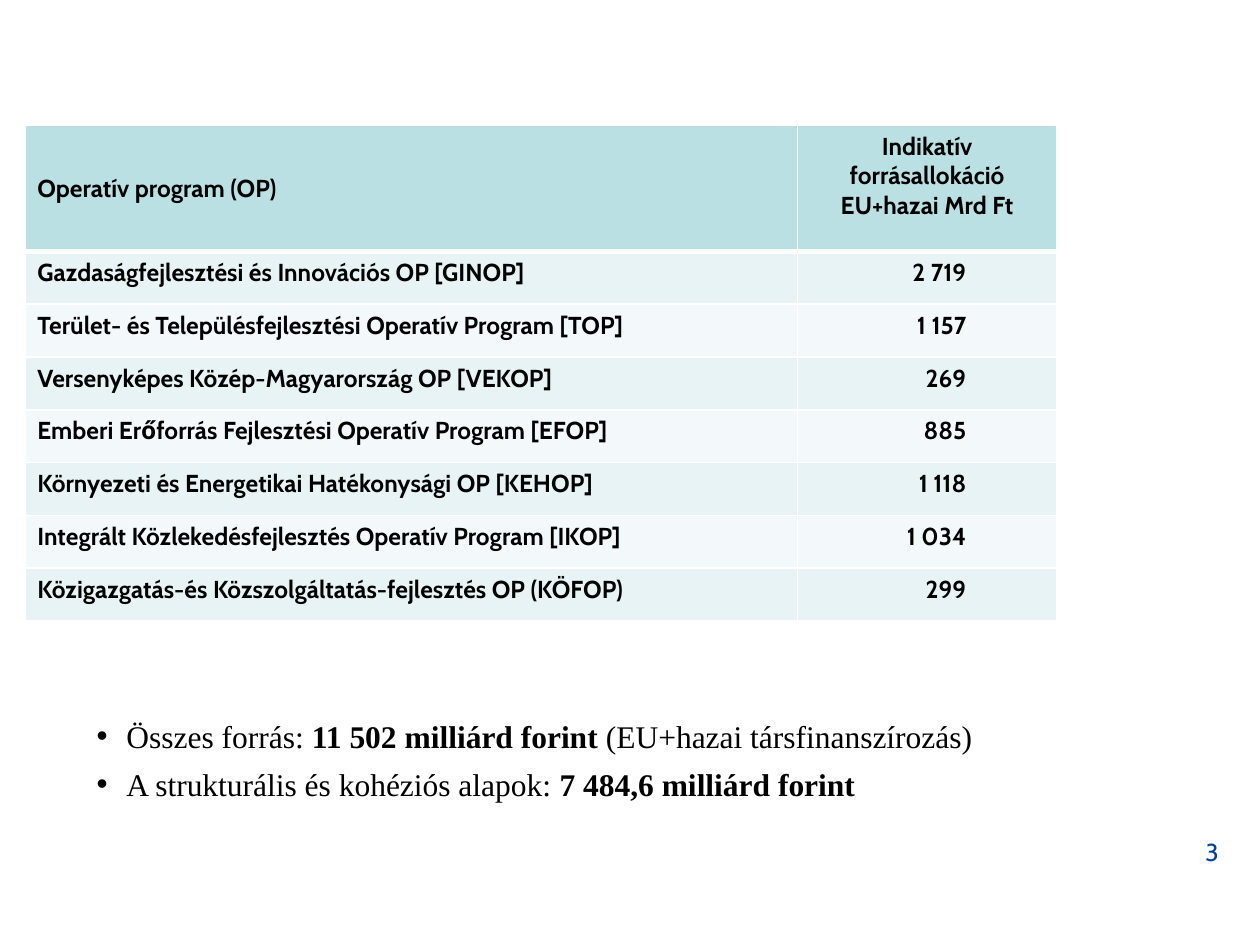
from dataclasses import dataclass

from lxml import etree
from pptx import Presentation
from pptx.dml.color import RGBColor
from pptx.enum import text as t
from pptx.oxml import ns
from pptx.util import Cm, Pt


@dataclass(frozen=True)
class Theme:
    ink: str = "000000"
    page_number: str = "004299"
    header: str = "BBE0E3"
    bands: tuple = ("E7F3F4", "F3F9FA")
    rule: str = "FFFFFF"
    table_font: str = "Cabin"
    body_font: str = "Times New Roman"
    table_size: int = 14
    body_size: int = 18


THEME = Theme()

HEADINGS = ("Operatív program (OP)", "Indikatív forrásallokáció EU+hazai Mrd Ft")
PROGRAMS = [
    ("Gazdaságfejlesztési és Innovációs OP [GINOP]", "2 719"),
    ("Terület- és Településfejlesztési Operatív Program [TOP]", "1 157"),
    ("Versenyképes Közép-Magyarország OP [VEKOP]", "269"),
    ("Emberi Erőforrás Fejlesztési Operatív Program [EFOP]", "885"),
    ("Környezeti és Energetikai Hatékonysági OP [KEHOP]", "1 118"),
    ("Integrált Közlekedésfejlesztés Operatív Program [IKOP]", "1 034"),
    ("Közigazgatás-és Közszolgáltatás-fejlesztés OP (KÖFOP)", "299"),
]
# Each total is a list of (wording, bold) runs
TOTALS = [
    [("Összes forrás:", False), (" 11 502 milliárd forint ", True),
     ("(EU+hazai társfinanszírozás)", False)],
    [("A strukturális és kohéziós alapok: ", False),
     ("7 484,6 milliárd forint", True)],
]


def set_font(paragraph, name, size, color, bold=None):
    font = paragraph.font
    font.name, font.size, font.bold = name, Pt(size), bold
    font.color.rgb = RGBColor.from_string(color)


def set_borders(cell, bottom_width):
    properties = cell._tc.get_or_add_tcPr()
    for side, width in (("L", 1), ("R", 1), ("T", 1), ("B", bottom_width)):
        line = etree.SubElement(properties, ns.qn(f"a:ln{side}"), w=str(Pt(width)))
        fill = etree.SubElement(line, ns.qn("a:solidFill"))
        etree.SubElement(fill, ns.qn("a:srgbClr"), val=THEME.rule)


def fill_cell(cell, wording, fill, align, bottom_width=1):
    set_borders(cell, bottom_width)
    cell.fill.solid()
    cell.fill.fore_color.rgb = RGBColor.from_string(fill)
    cell.text = wording
    paragraph = cell.text_frame.paragraphs[0]
    paragraph.alignment = align
    set_font(paragraph, THEME.table_font, THEME.table_size, THEME.ink, True)


def add_allocation_table(slide, left, top, width, height):
    header_height, amount_width = Cm(2.55), Cm(5.22)
    table = slide.shapes.add_table(
        len(PROGRAMS) + 1, len(HEADINGS), left, top, width, height).table
    table.columns[0].width = width - amount_width
    table.columns[1].width = amount_width
    table.rows[0].height = header_height
    program_height = (height - header_height) // len(PROGRAMS)

    for column, align in enumerate((t.PP_ALIGN.LEFT, t.PP_ALIGN.CENTER)):
        fill_cell(table.cell(0, column), HEADINGS[column], THEME.header, align, 3)
    table.cell(0, 0).vertical_anchor = t.MSO_ANCHOR.MIDDLE

    for row, (program, amount) in enumerate(PROGRAMS, start=1):
        table.rows[row].height = program_height
        band = THEME.bands[(row - 1) % 2]
        fill_cell(table.cell(row, 0), program, band, t.PP_ALIGN.LEFT)
        amount_cell = table.cell(row, 1)
        fill_cell(amount_cell, amount, band, t.PP_ALIGN.RIGHT)
        amount_cell.margin_right = Cm(1.82)


def add_bullet(paragraph, indent):
    properties = paragraph._p.get_or_add_pPr()
    properties.set("marL", str(indent))
    properties.set("indent", str(-indent))
    etree.SubElement(properties, ns.qn("a:buFont"), typeface="Arial")
    etree.SubElement(properties, ns.qn("a:buChar"), char="•")


def add_totals(slide, left, top, width, height):
    frame = slide.shapes.add_textbox(left, top, width, height).text_frame
    frame.word_wrap = True
    for index, total in enumerate(TOTALS):
        paragraph = frame.add_paragraph() if index else frame.paragraphs[0]
        paragraph.alignment = t.PP_ALIGN.JUSTIFY
        paragraph.space_after = Pt(6)
        add_bullet(paragraph, Cm(0.6))
        set_font(paragraph, THEME.body_font, THEME.body_size, THEME.ink)
        for wording, bold in total:
            run = paragraph.add_run()
            run.text, run.font.bold = wording, bold


def add_page_number(slide, left, top, width, height):
    frame = slide.shapes.add_textbox(left, top, width, height).text_frame
    frame.word_wrap = True
    paragraph = frame.paragraphs[0]
    paragraph.text = "3"
    paragraph.alignment = t.PP_ALIGN.RIGHT
    set_font(paragraph, THEME.table_font, THEME.table_size, THEME.page_number)


def main():
    deck = Presentation()
    deck.slide_width, deck.slide_height = Cm(25.4), Cm(19.05)
    slide = deck.slides.add_slide(deck.slide_layouts[6])
    add_page_number(slide, Cm(18.9), Cm(16.74), Cm(5.92), Cm(0.79))
    add_allocation_table(slide, Cm(0.5), Cm(2.52), Cm(20.8), Cm(10))
    add_totals(slide, Cm(1.7), Cm(14.32), Cm(21), Cm(2))
    deck.save("out.pptx")


if __name__ == "__main__":
    main()
